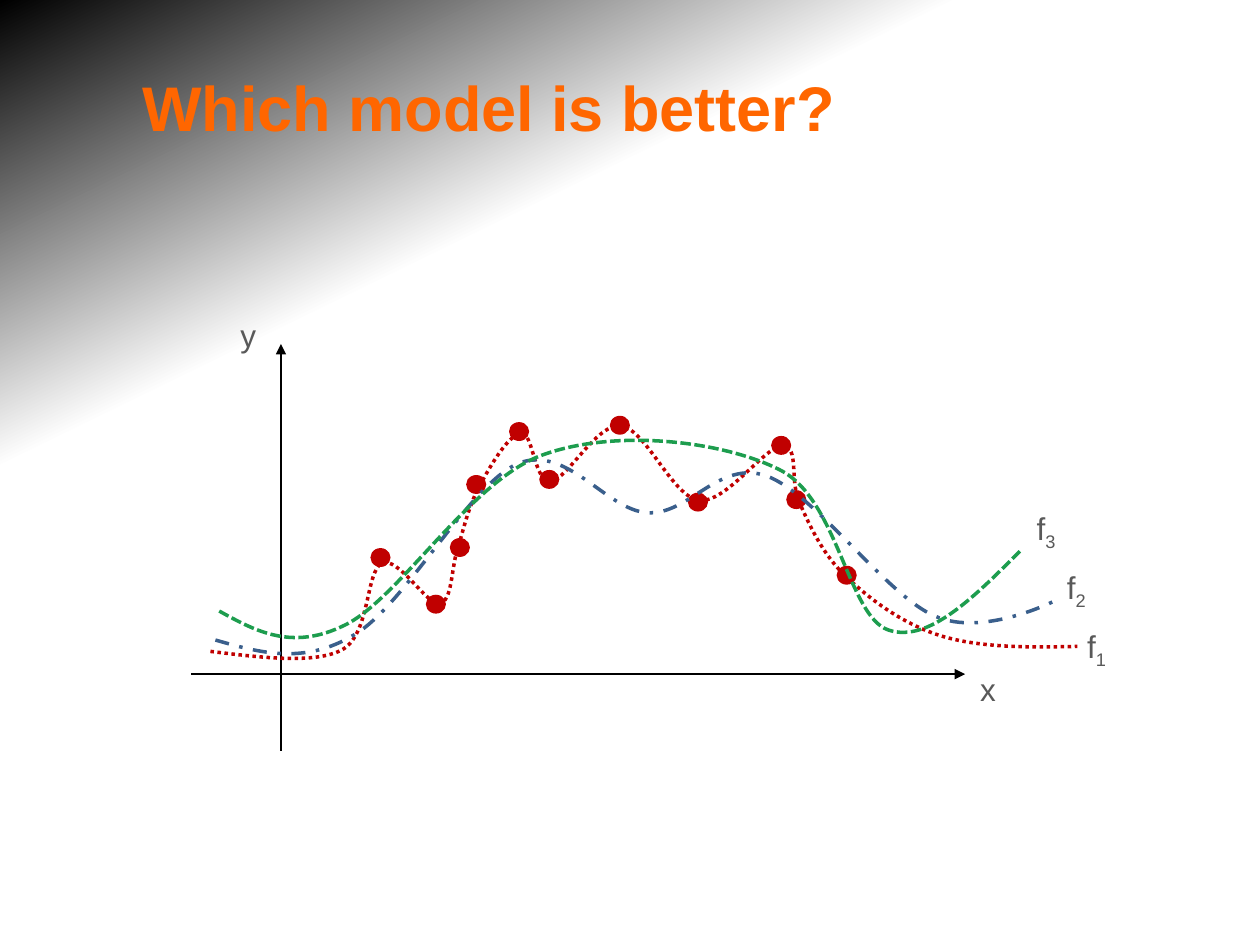
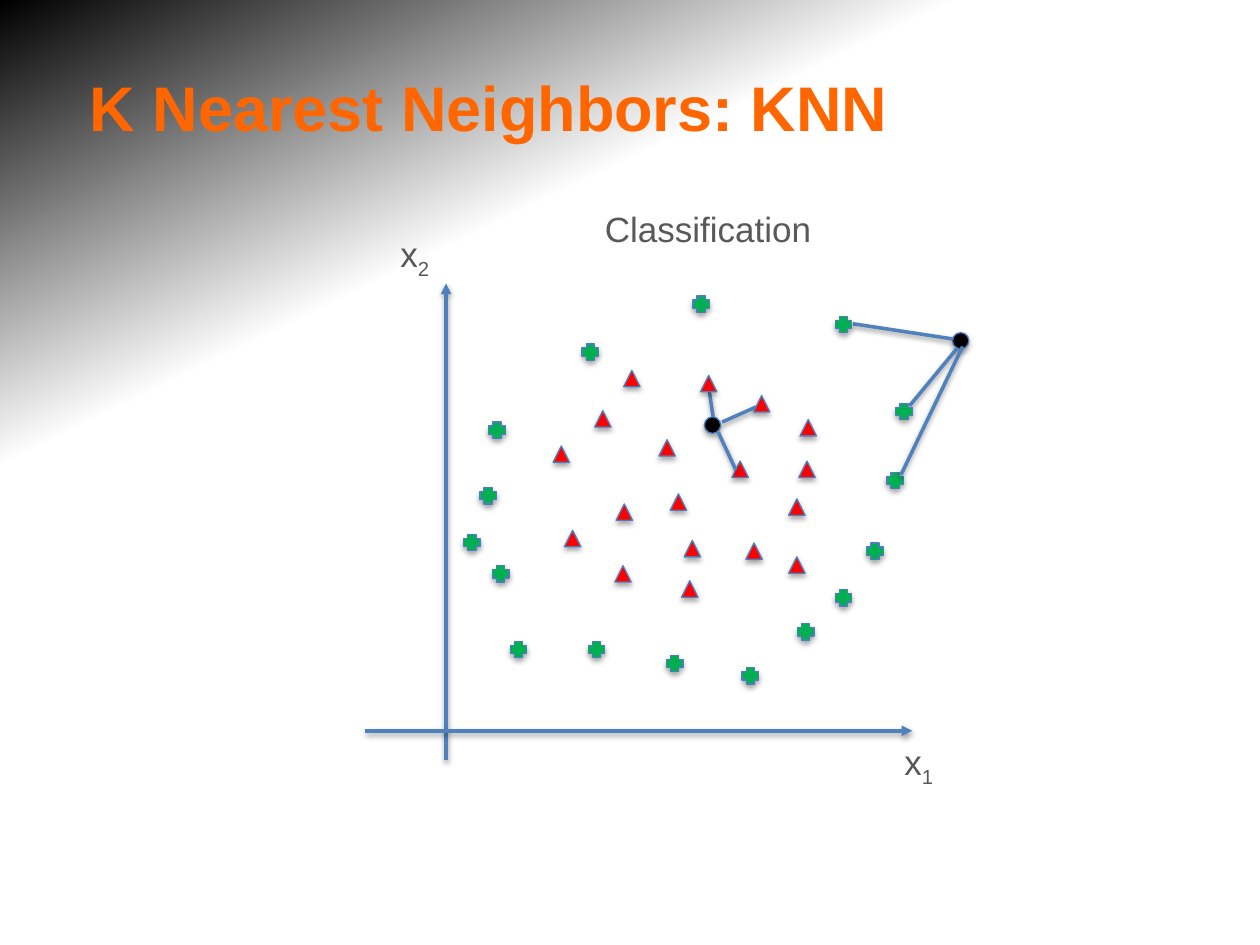
from lxml.etree import SubElement
from pptx import Presentation
from pptx.dml.color import RGBColor
from pptx.enum.dml import MSO_LINE
from pptx.enum.shapes import MSO_CONNECTOR, MSO_SHAPE
from pptx.enum.text import MSO_ANCHOR, MSO_AUTO_SIZE, PP_ALIGN
from pptx.oxml.ns import qn
from pptx.util import Inches, Pt

FONT = "Arial"
ORANGE = RGBColor(0xFF, 0x66, 0x00)
GREY = RGBColor(0x59, 0x59, 0x59)
BLACK = RGBColor(0x00, 0x00, 0x00)
DARK_RED = RGBColor(0xC0, 0x00, 0x00)
NAVY = RGBColor(0x3A, 0x5F, 0x8C)
LEAF = RGBColor(0x1D, 0x9D, 0x4E)
RED = RGBColor(0xFF, 0x00, 0x00)
GREEN = RGBColor(0x00, 0xB0, 0x50)
BLUE = RGBColor(0x4F, 0x81, 0xBD)
OUTLINE = RGBColor(0x4B, 0x7E, 0xBC)

# Background gradient: position %, colour, opacity %
BACKGROUND = [(0, "FFFFFF", 100), (70, "FFFFFF", 100), (100, "000000", 41)]
TITLE_BOX = (0.5, 0.33, 6.74, 1.03)

# Slide 1: axes as (from, to); labels as (text, subscript, box, wraps)
MODEL_AXES = [((2.23, 5.96), (2.23, 2.73)), ((1.52, 5.35), (7.66, 5.35))]
MODEL_LABELS = [
    ("x", "", (7.68, 5.27, 0.38, 0.45), False),
    ("y", "", (1.81, 2.46, 0.38, 0.45), False),
    ("f", "3", (8.13, 3.99, 0.47, 0.45), True),
    ("f", "2", (8.37, 4.46, 0.47, 0.47), True),
    ("f", "1", (8.53, 4.93, 0.39, 0.45), False),
]
SAMPLE_SIZE = (0.16, 0.15)
SAMPLES = [(3.57, 4.27), (3.38, 4.72), (6.24, 3.89), (4.04, 3.35), (4.28, 3.73), (4.84, 3.3),
           (5.46, 3.91), (6.64, 4.49), (6.12, 3.46), (3.7, 3.77), (2.94, 4.35)]

# Start point, then (control, control, end) for each Bezier segment
F1 = [(1.67, 5.17),
      (2.08, 5.22), (2.49, 5.27), (2.71, 5.16),
      (2.94, 5.04), (2.9, 4.54), (3.03, 4.47),
      (3.16, 4.41), (3.39, 4.81), (3.49, 4.79),
      (3.59, 4.77), (3.58, 4.52), (3.63, 4.36),
      (3.68, 4.2), (3.72, 4.01), (3.81, 3.85),
      (3.89, 3.7), (4.04, 3.44), (4.14, 3.44),
      (4.23, 3.43), (4.24, 3.83), (4.37, 3.82),
      (4.5, 3.81), (4.74, 3.35), (4.93, 3.38),
      (5.13, 3.41), (5.34, 3.95), (5.55, 3.97),
      (5.76, 4), (6.08, 3.53), (6.21, 3.54),
      (6.35, 3.54), (6.26, 3.82), (6.35, 4),
      (6.43, 4.18), (6.54, 4.42), (6.73, 4.59),
      (6.92, 4.77), (7.18, 4.96), (7.48, 5.05),
      (7.78, 5.14), (8.17, 5.14), (8.55, 5.13)]
F2 = [(1.71, 5.08),
      (2.06, 5.18), (2.41, 5.28), (2.81, 5.04),
      (3.21, 4.81), (3.72, 3.85), (4.11, 3.68),
      (4.5, 3.52), (4.81, 4.05), (5.14, 4.07),
      (5.47, 4.09), (5.71, 3.64), (6.09, 3.78),
      (6.47, 3.92), (7.04, 4.73), (7.42, 4.89),
      (7.8, 5.06), (8.37, 4.77), (8.37, 4.77)]
F3 = [(1.74, 4.85),
      (2.03, 5.01), (2.32, 5.17), (2.74, 4.96),
      (3.17, 4.75), (3.74, 3.81), (4.31, 3.61),
      (4.89, 3.4), (5.74, 3.5), (6.19, 3.73),
      (6.65, 3.96), (6.73, 4.89), (7.05, 5),
      (7.37, 5.11), (7.74, 4.73), (8.11, 4.36)]
CURVES = [(F1, DARK_RED, MSO_LINE.ROUND_DOT), (F2, NAVY, MSO_LINE.DASH_DOT),
          (F3, LEAF, MSO_LINE.SQUARE_DOT)]

# Slide 2
KNN_AXES = [((3.54, 6.03), (3.54, 2.25)), ((2.9, 5.8), (7.24, 5.8))]
KNN_LABELS = [("x", "1", (7.08, 5.83, 0.45, 0.44)), ("x", "2", (3.08, 1.8, 0.45, 0.44))]
MARKER_SIZE = (0.13, 0.13)
QUERIES = [(5.59, 3.31), (7.56, 2.64)]
PLUSES = [(3.68, 4.24), (6.33, 4.95), (3.91, 4.49), (7.11, 3.2), (4.05, 5.09), (5.5, 2.35),
          (3.81, 3.87), (4.67, 5.09), (4.62, 2.73), (3.88, 3.35), (6.88, 4.31), (6.63, 4.68),
          (5.89, 5.3), (5.29, 5.2), (6.63, 2.51), (7.04, 3.75)]
TRIANGLES = [(6.35, 3.33), (4.95, 2.94), (4.89, 4), (5.92, 4.31), (6.26, 4.42), (4.39, 3.54),
             (4.88, 4.49), (5.41, 4.61), (5.23, 3.49), (5.32, 3.92), (5.56, 2.98), (5.81, 3.66),
             (6.26, 3.96), (6.34, 3.66), (4.72, 3.26), (5.98, 3.14), (5.43, 4.29), (4.48, 4.21)]
LINKS_BEHIND = [((5.73, 3.35), (6, 3.23)), ((5.66, 3.31), (5.63, 3.11)),
                ((6.77, 2.57), (7.56, 2.69)), ((7.22, 3.22), (7.6, 2.76))]
LINKS_IN_FRONT = [((7.15, 3.77), (7.64, 2.75)), ((5.7, 3.43), (5.84, 3.73))]


def inches(values):
    return [Inches(v) for v in values]


def set_background(master):
    fill = master.background.fill
    fill.gradient()
    fill.gradient_angle = 116
    stops = master.element.xpath(".//p:bg//a:gsLst")[0]
    for old in list(stops):
        stops.remove(old)
    for pos, color, opacity in BACKGROUND:
        stop = SubElement(stops, qn("a:gs"), pos=str(pos * 1000))
        clr = SubElement(stop, qn("a:srgbClr"), val=color)
        if opacity < 100:
            SubElement(clr, qn("a:alpha"), val=str(opacity * 1000))


def write(tf, text, sub="", size=18, color=GREY, bold=False, align=None):
    """Fill the first paragraph with text and an optional subscript."""
    p = tf.paragraphs[0]
    p.alignment = align
    for part, baseline in ((text, None), (sub, "-25000")):
        if not part:
            continue
        r = p.add_run()
        r.text = part
        r.font.name, r.font.size, r.font.bold = FONT, Pt(size), bold
        r.font.color.rgb = color
        if baseline:
            r.font._element.set("baseline", baseline)


def add_label(slide, text, sub, box, wrap=False, **fmt):
    tf = slide.shapes.add_textbox(*inches(box)).text_frame
    tf.word_wrap = wrap
    tf.auto_size = MSO_AUTO_SIZE.SHAPE_TO_FIT_TEXT
    write(tf, text, sub, **fmt)
    return tf


def add_shadow(effects, distance, opacity):
    shadow = SubElement(effects, qn("a:outerShdw"), blurRad=str(Pt(3.1)),
                        dist=str(Pt(distance)), dir="5400000", rotWithShape="0")
    clr = SubElement(shadow, qn("a:srgbClr"), val="000000")
    SubElement(clr, qn("a:alpha"), val=str(opacity * 1000))


def add_line(slide, start, end, color=BLUE, width=2, arrow=False, shadow=True):
    ln = slide.shapes.add_connector(MSO_CONNECTOR.STRAIGHT, *inches(start + end))
    ln.line.color.rgb = color
    ln.line.width = Pt(width)
    if arrow:
        SubElement(ln.line._get_or_add_ln(), qn("a:tailEnd"), type="triangle")
    effects = SubElement(ln.element.spPr, qn("a:effectLst"))
    if shadow:
        add_shadow(effects, 1.6, 38)


def add_marker(slide, kind, at, size, color, outlined=True):
    sp = slide.shapes.add_shape(kind, *inches(at + size))
    sp.fill.solid()
    sp.fill.fore_color.rgb = color
    sp.shadow.inherit = False
    if outlined:
        sp.line.color.rgb = OUTLINE
        sp.line.width = Pt(0.75)
        add_shadow(sp.element.spPr.find(qn("a:effectLst")), 1.8, 35)
    else:
        sp.line.fill.background()


def add_curve(slide, points, color, dash):
    """Draw a chain of cubic Bezier segments as one open freeform."""
    pts = [inches(pt) for pt in points]
    builder = slide.shapes.build_freeform(*pts[0])
    builder.add_line_segments(pts[1:], close=False)
    sp = builder.convert_to_shape()
    outline = sp.element.xpath(".//a:path")[0]
    segments = outline.findall(qn("a:lnTo"))
    for i in range(0, len(segments), 3):
        bezier = SubElement(outline, qn("a:cubicBezTo"))
        for segment in segments[i:i + 3]:
            bezier.append(segment[0])
            outline.remove(segment)
    sp.fill.background()
    sp.shadow.inherit = False
    sp.line.color.rgb = color
    sp.line.width = Pt(2)
    sp.line.dash_style = dash


def add_slide(prs, title):
    slide = prs.slides.add_slide(prs.slide_layouts[5])
    sp = slide.shapes.title
    sp.left, sp.top, sp.width, sp.height = inches(TITLE_BOX)
    tf = sp.text_frame
    tf.vertical_anchor = MSO_ANCHOR.MIDDLE
    tf.margin_left = Inches(0.12)
    write(tf, title, size=36, color=ORANGE, bold=True, align=PP_ALIGN.CENTER)
    return slide


def build_models(prs):
    slide = add_slide(prs, "Which model is better?")
    for start, end in MODEL_AXES:
        add_line(slide, start, end, color=BLACK, width=0.75, arrow=True, shadow=False)
    for at in SAMPLES:
        add_marker(slide, MSO_SHAPE.OVAL, at, SAMPLE_SIZE, DARK_RED, outlined=False)
    for points, color, dash in CURVES:
        add_curve(slide, points, color, dash)
    for text, sub, box, wrap in MODEL_LABELS:
        add_label(slide, text, sub, box, wrap)


def build_knn(prs):
    slide = add_slide(prs, "K Nearest Neighbors: KNN")
    tf = add_label(slide, "Classification", "", (4.4, 1.57, 2.44, 0.48), wrap=True,
                   size=20, align=PP_ALIGN.CENTER)
    tf.auto_size = MSO_AUTO_SIZE.NONE
    tf.vertical_anchor = MSO_ANCHOR.MIDDLE
    for start, end in KNN_AXES:
        add_line(slide, start, end, arrow=True)
    for text, sub, box in KNN_LABELS:
        add_label(slide, text, sub, box, size=20)
    for at in QUERIES:
        add_marker(slide, MSO_SHAPE.OVAL, at, MARKER_SIZE, BLACK)
    for start, end in LINKS_BEHIND:
        add_line(slide, start, end)
    for kind, color, places in ((MSO_SHAPE.CROSS, GREEN, PLUSES),
                                (MSO_SHAPE.ISOSCELES_TRIANGLE, RED, TRIANGLES)):
        for at in places:
            add_marker(slide, kind, at, MARKER_SIZE, color)
    for start, end in LINKS_IN_FRONT:
        add_line(slide, start, end)


def main():
    prs = Presentation()
    prs.slide_width, prs.slide_height = Inches(10), Inches(7.5)
    set_background(prs.slide_master)
    build_models(prs)
    build_knn(prs)
    prs.save("out.pptx")


if __name__ == "__main__":
    main()
